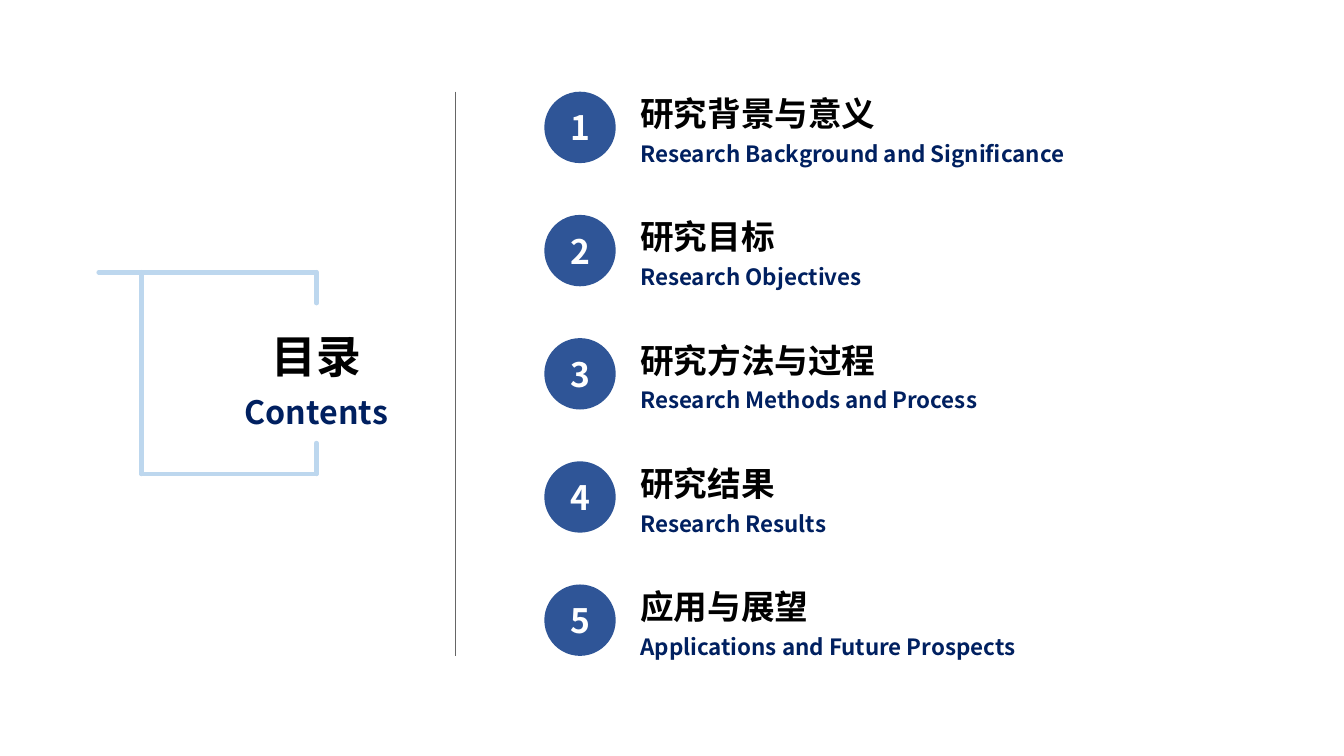
import pptx
import pptx.dml.color
import pptx.enum.shapes
import pptx.enum.text
import pptx.oxml
import pptx.oxml.ns
import pptx.util
from pptx.util import Pt

FONT = "Noto Sans CJK SC"
BLACK, NAVY, WHITE = "000000", "002060", "FFFFFF"
BLUE, PALE_BLUE, GREY = "2F5597", "BDD7EE", "666666"
CENTER = pptx.enum.text.PP_ALIGN.CENTER
LEFT = pptx.enum.text.PP_ALIGN.LEFT

CHAPTERS = [
    ("研究背景与意义", "Research Background and Significance"),
    ("研究目标", "Research Objectives"),
    ("研究方法与过程", "Research Methods and Process"),
    ("研究结果", "Research Results"),
    ("应用与展望", "Applications and Future Prospects"),
]
FIRST_TOP, CHAPTER_STEP, CIRCLE_SIZE = 65.5, 88, 51


def color(hex_code):
    return pptx.dml.color.RGBColor.from_string(hex_code)


def style_paragraph(para, size, hex_code, align):
    para.alignment = align
    para.font.size = Pt(size)
    para.font.bold = True
    para.font.color.rgb = color(hex_code)
    para.font.name = FONT
    # Chinese characters take the East Asian font
    latin = para._p.find(".//" + pptx.oxml.ns.qn("a:latin"))
    latin.addnext(pptx.oxml.parse_xml(
        f'<a:ea {pptx.oxml.ns.nsdecls("a")} typeface="{FONT}"/>'))


def add_title_pair(shapes, left, top, width, height, lines, align):
    """Add a text box; each line is (text, size, colour)."""
    box = shapes.add_textbox(Pt(left), Pt(top), Pt(width), Pt(height))
    frame = box.text_frame
    frame.word_wrap = True
    for index, (text, size, hex_code) in enumerate(lines):
        para = frame.add_paragraph() if index else frame.paragraphs[0]
        para.text = text
        para.line_spacing = 1.25
        style_paragraph(para, size, hex_code, align)
    return box


def add_line(shapes, start, end, hex_code, width, cap="flat"):
    line = shapes.add_connector(
        pptx.enum.shapes.MSO_CONNECTOR.STRAIGHT,
        Pt(start[0]), Pt(start[1]), Pt(end[0]), Pt(end[1]))
    line.line.color.rgb = color(hex_code)
    line.line.width = Pt(width)
    line.line._get_or_add_ln().set("cap", cap)
    line._element.spPr.append(pptx.oxml.parse_xml(
        f'<a:effectLst {pptx.oxml.ns.nsdecls("a")}/>'))


def add_number_circle(shapes, left, top, number):
    circle = shapes.add_shape(
        pptx.enum.shapes.MSO_SHAPE.OVAL,
        Pt(left), Pt(top), Pt(CIRCLE_SIZE), Pt(CIRCLE_SIZE))
    circle.shadow.inherit = False
    circle.fill.solid()
    circle.fill.fore_color.rgb = color(BLUE)
    circle.line.fill.background()
    frame = circle.text_frame
    frame.vertical_anchor = pptx.enum.text.MSO_ANCHOR.MIDDLE
    para = frame.paragraphs[0]
    para.text = str(number)
    style_paragraph(para, 24, WHITE, CENTER)


def add_frame(page):
    """Add the open frame around the heading."""
    tail, left, right, top, bottom, stub = 70.5, 101, 226, 194.5, 338.5, 22
    group = page.shapes.add_group_shape()
    for start, end in [
        ((tail, top), (right, top)),
        ((left, bottom), (right, bottom)),
        ((left, top), (left, bottom)),
        ((right, top), (right, top + stub)),
        ((right, bottom - stub), (right, bottom)),
    ]:
        add_line(group.shapes, start, end, PALE_BLUE, 3.25, "rnd")


def add_chapter(page, number, chinese, english):
    top = FIRST_TOP + (number - 1) * CHAPTER_STEP
    group = page.shapes.add_group_shape()
    add_number_circle(group.shapes, 388.8, top, number)
    box = add_title_pair(
        group.shapes, 450.3, top - 9.7, 409, 65.5,
        [(chinese, 24, BLACK), (english, 16, NAVY)], LEFT)
    box.text_frame.auto_size = pptx.enum.text.MSO_AUTO_SIZE.SHAPE_TO_FIT_TEXT


def main():
    deck = pptx.Presentation()
    deck.slide_width, deck.slide_height = Pt(960), Pt(540)
    page = deck.slides.add_slide(deck.slide_layouts[6])

    # Heading, divider and frame
    add_title_pair(page.shapes, 148.3, 221.8, 155.5, 92,
                   [("目录", 32, BLACK), ("Contents", 23, NAVY)], CENTER)
    add_line(page.shapes, (325.4, 65.5), (325.4, 468.5), GREY, 0.5)
    add_frame(page)

    # Chapter list
    for number, (chinese, english) in enumerate(CHAPTERS, start=1):
        add_chapter(page, number, chinese, english)

    deck.save("out.pptx")


if __name__ == "__main__":
    main()
